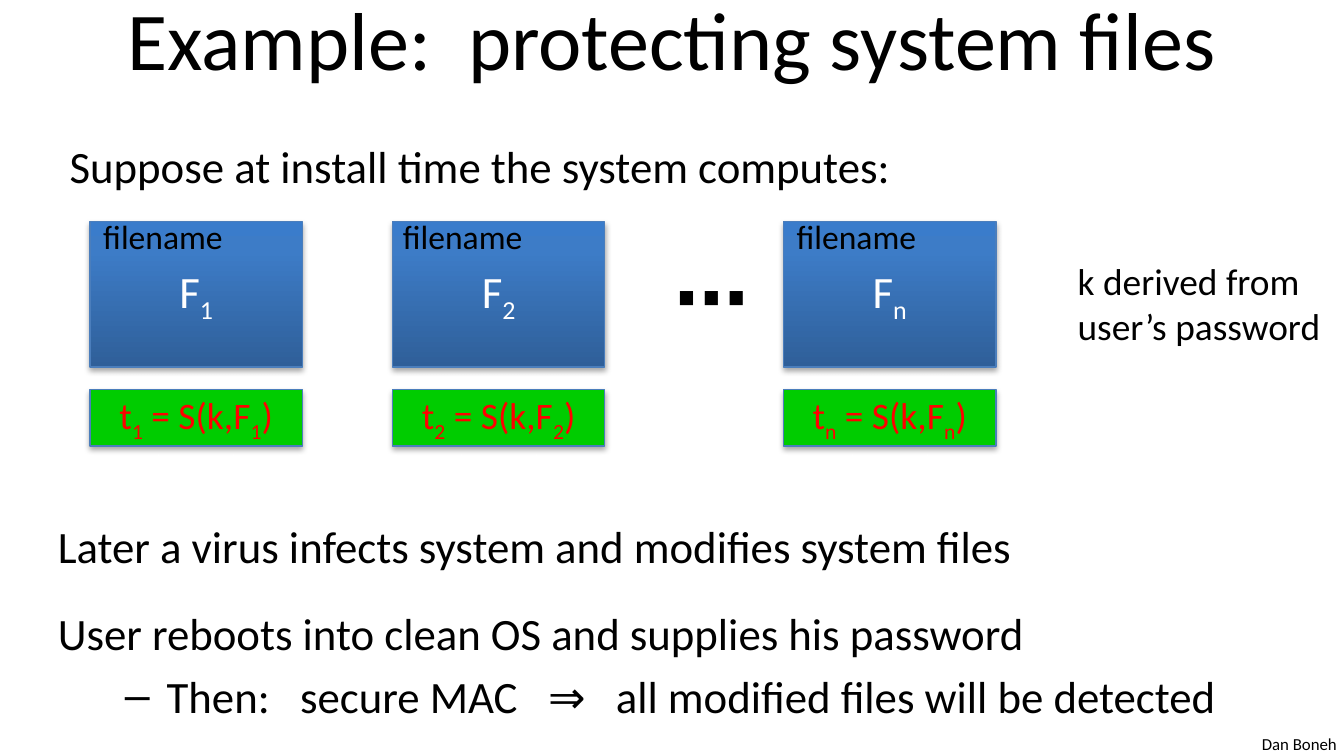
from lxml.etree import SubElement
from pptx import Presentation
from pptx.dml.color import RGBColor
from pptx.enum.shapes import MSO_SHAPE
from pptx.enum.text import MSO_ANCHOR, MSO_AUTO_SIZE, PP_ALIGN
from pptx.oxml import parse_xml
from pptx.oxml.ns import nsdecls, qn
from pptx.util import Inches, Pt

# Content
TITLE = "Example:  protecting system files"
INTRO = "Suppose at install time the system computes:"
KEY_NOTE = "k derived from\nuser’s password"
AUTHOR = "Dan Boneh"
FILE_LABEL = "filename"
FILES = [  # subscript, left edge of boxes, left edge of label
    ("1", 0.67, 0.67),
    ("2", 2.92, 2.9),
    ("n", 5.83, 5.83),
]
STEPS = [  # text, is sub-point, space before in points
    ("Later a virus infects system and modifies system files", False, 0),
    ("User reboots into clean OS and supplies his password", False, 17.8),
    ("Then:   secure MAC   ⇒   all modified files will be detected", True, 4.8),
]

THEME = {
    "font": "Calibri",
    "text": "000000", "on_file": "FFFFFF", "on_tag": "FF0000",
    "tag": "00CC00", "border": "4B7EBC", "shadow": "000000",
    "gradient": [(0, "2F5F99"), (80, "3D7CC7"), (100, "3A7CCB")],
    "title_size": 44, "dots_size": 40, "body_size": 24,
    "note_size": 20, "label_size": 18, "author_size": 9,
}
SLIDE_WIDTH = Inches(10)
SLIDE_HEIGHT = SLIDE_WIDTH * 9 // 16
BOX_WIDTH = 1.58
FILE_TOP, FILE_HEIGHT = 1.65, 1.08
TAG_TOP, TAG_HEIGHT = 2.9, 0.42
LABEL_TOP = 1.56


def add_run(paragraph, text, size, color="text", bold=None, subscript=False):
    run = paragraph.add_run()
    run.text = text
    run.font.name = THEME["font"]
    run.font.size = Pt(THEME[size])
    run.font.color.rgb = RGBColor.from_string(THEME[color])
    run.font.bold = bold
    if subscript:
        run._r.get_or_add_rPr().set("baseline", "-25000")


def place(shape, left, top, width, height):
    shape.left, shape.top = Inches(left), Inches(top)
    shape.width, shape.height = Inches(width), Inches(height)


def add_label(slide, text, size, left, top, width, height, bold=None):
    label = slide.shapes.add_textbox(
        Inches(left), Inches(top), Inches(width), Inches(height))
    frame = label.text_frame
    frame.word_wrap = False
    frame.auto_size = MSO_AUTO_SIZE.SHAPE_TO_FIT_TEXT
    paragraph = frame.paragraphs[0]
    for number, line in enumerate(text.split("\n")):
        if number:
            paragraph.add_line_break()
        add_run(paragraph, line, size, bold=bold)


def add_box(slide, left, top, height, pieces, size, color):
    """Add a shadowed rectangle; pieces are (text, is subscript) pairs."""
    box = slide.shapes.add_shape(
        MSO_SHAPE.RECTANGLE, Inches(left), Inches(top),
        Inches(BOX_WIDTH), Inches(height))
    box.line.color.rgb = RGBColor.from_string(THEME["border"])
    box.line.width = Pt(0.75)
    box.shadow.inherit = False
    effects = box._element.spPr.find(qn("a:effectLst"))
    shadow = SubElement(
        effects, qn("a:outerShdw"), blurRad=str(Pt(3.1)), dist=str(Pt(1.8)),
        dir="5400000", rotWithShape="0")
    shade = SubElement(shadow, qn("a:srgbClr"), val=THEME["shadow"])
    SubElement(shade, qn("a:alpha"), val="35000")
    frame = box.text_frame
    frame.vertical_anchor = MSO_ANCHOR.MIDDLE
    paragraph = frame.paragraphs[0]
    paragraph.alignment = PP_ALIGN.CENTER
    for text, subscript in pieces:
        add_run(paragraph, text, size, color, subscript=subscript)
    return box


def fill_gradient(box):
    stops = "".join(
        f'<a:gs pos="{position * 1000}"><a:srgbClr val="{color}"/></a:gs>'
        for position, color in THEME["gradient"])
    gradient = parse_xml(
        f'<a:gradFill {nsdecls("a")} rotWithShape="1"><a:gsLst>{stops}</a:gsLst>'
        '<a:lin ang="16200000" scaled="0"/></a:gradFill>')
    box._element.spPr.find(qn("a:prstGeom")).addnext(gradient)


def add_steps(body):
    frame = body.text_frame
    frame.word_wrap = True
    frame.auto_size = MSO_AUTO_SIZE.NONE
    frame.vertical_anchor = MSO_ANCHOR.TOP
    for number, (text, is_sub, space) in enumerate(STEPS):
        step = frame.add_paragraph() if number else frame.paragraphs[0]
        step.level = int(is_sub)
        step.space_before = Pt(space)
        properties = step._p.get_or_add_pPr()
        properties.set("marL", str(Inches(0.81 if is_sub else 0)))
        properties.set("indent", str(Inches(-0.31 if is_sub else 0)))
        if is_sub:
            SubElement(properties, qn("a:buChar"), char="–")
        else:
            SubElement(properties, qn("a:buNone"))
        add_run(step, text, "body_size")


def main():
    presentation = Presentation()
    presentation.slide_width = SLIDE_WIDTH
    presentation.slide_height = SLIDE_HEIGHT
    slide = presentation.slides.add_slide(presentation.slide_layouts[1])

    # Author credit
    add_label(slide, AUTHOR, "author_size", 9.29, 5.41, 0.76, 0.25)

    # Title and steps
    title, body = slide.shapes.title, slide.placeholders[1]
    place(title, 0.5, -0.19, 9, 0.94)
    title.text_frame.auto_size = MSO_AUTO_SIZE.NONE
    title.text_frame.vertical_anchor = MSO_ANCHOR.MIDDLE
    heading = title.text_frame.paragraphs[0]
    heading.alignment = PP_ALIGN.CENTER
    add_run(heading, TITLE, "title_size")
    place(body, 0.33, 3.81, 9.25, 1.81)
    add_steps(body)

    add_label(slide, INTRO, "body_size", 0.42, 0.98, 6.46, 0.5)

    # Files, each with its tag below
    for index, left, _ in FILES:
        file_box = add_box(slide, left, FILE_TOP, FILE_HEIGHT,
                           [("F", False), (index, True)],
                           "body_size", "on_file")
        fill_gradient(file_box)
        tag_box = add_box(slide, left, TAG_TOP, TAG_HEIGHT,
                          [("t", False), (index, True), (" = S(k,F", False),
                           (index, True), (")", False)],
                          "note_size", "on_tag")
        tag_box.fill.solid()
        tag_box.fill.fore_color.rgb = RGBColor.from_string(THEME["tag"])

    # Ellipsis and key note
    add_label(slide, "⋯", "dots_size", 4.92, 1.81, 0.48, 0.77, bold=True)
    add_label(slide, KEY_NOTE, "note_size", 7.92, 1.87, 2.03, 0.77)

    # File labels
    for _, _, label_left in FILES:
        add_label(slide, FILE_LABEL, "label_size",
                  label_left, LABEL_TOP, 1.1, 0.4)

    presentation.save("out.pptx")


if __name__ == "__main__":
    main()
